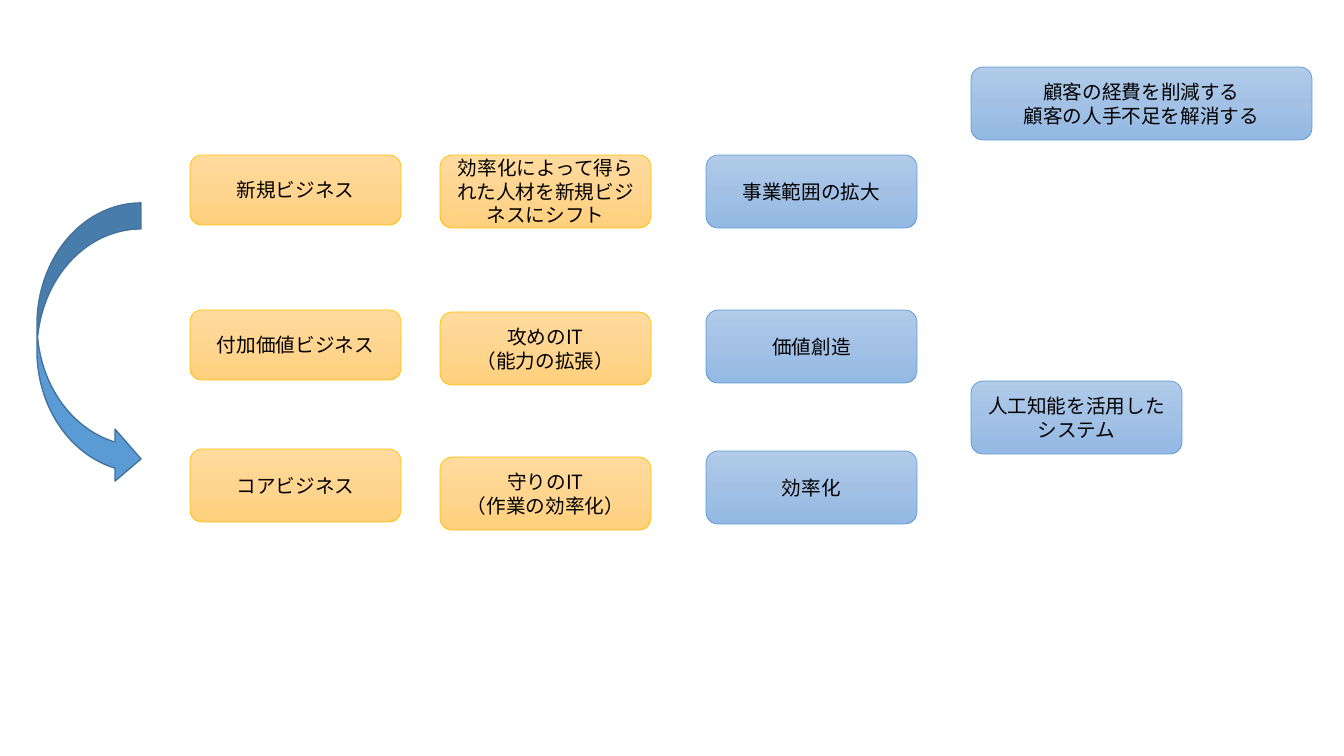
import copy

import pptx
import pptx.dml.color
import pptx.enum.shapes
import pptx.enum.text
import pptx.oxml
import pptx.oxml.ns
import pptx.util

EMU_PER_PX = 914400 / 100.8
FONT = "Noto Sans CJK JP"
COLORS = {
    "text": "000000",
    "arrow": "5B9BD5",
    "arrow line": "43739E",
    "orange line": "FFC000",
    "blue line": "5B9BD5",
}
GRADIENTS = {
    "orange": ("FFDB9E", "FFD590", "FFD07C"),
    "blue": ("B1CBE9", "A3C1E5", "93B9E4"),
}
BOX_WIDTH, BOX_HEIGHT = 211, 73

# Each column: colour, left, then (top, height, lines) for its boxes
COLUMNS = [
    ("orange", 190, [
        (155, 70, ["新規ビジネス"]),
        (310, 70, ["付加価値ビジネス"]),
        (449, BOX_HEIGHT, ["コアビジネス"]),
    ]),
    ("orange", 440, [
        (155, BOX_HEIGHT, ["効率化によって得られた人材を新規ビジネスにシフト"]),
        (312, BOX_HEIGHT, ["攻めのIT", "（能力の拡張）"]),
        (457, BOX_HEIGHT, ["守りのIT", "（作業の効率化）"]),
    ]),
    ("blue", 706, [
        (155, BOX_HEIGHT, ["事業範囲の拡大"]),
        (310, BOX_HEIGHT, ["価値創造"]),
        (451, BOX_HEIGHT, ["効率化"]),
    ]),
    ("blue", 971, [
        (381, BOX_HEIGHT, ["人工知能を活用したシステム"]),
    ]),
]


def px(length):
    return pptx.util.Emu(round(length * EMU_PER_PX))


def rgb(name):
    return pptx.dml.color.RGBColor.from_string(COLORS[name])


def add_outlined_shape(slide, kind, bounds, line_color, line_width):
    shape = slide.shapes.add_shape(kind, *map(px, bounds))
    shape.shadow.inherit = False
    shape.line.color.rgb = rgb(line_color)
    shape.line.width = pptx.util.Pt(line_width)
    return shape


def fill_downwards(shape, hex_colors):
    """Fill with evenly spaced gradient stops from top to bottom."""
    shape.fill.gradient()
    shape.fill.gradient_angle = 270
    stop_list = shape.element.spPr.find(".//" + pptx.oxml.ns.qn("a:gsLst"))
    while len(stop_list) < len(hex_colors):
        stop_list.append(copy.deepcopy(stop_list[-1]))
    for index, stop in enumerate(shape.fill.gradient_stops):
        stop.position = index / (len(hex_colors) - 1)
        stop.color.rgb = pptx.dml.color.RGBColor.from_string(hex_colors[index])


def set_font(paragraph):
    """Set the font for both Latin and East Asian characters."""
    paragraph.font.size = pptx.util.Pt(14)
    paragraph.font.color.rgb = rgb("text")
    paragraph.font.name = FONT
    properties = paragraph._p.pPr.find(pptx.oxml.ns.qn("a:defRPr"))
    properties.append(pptx.oxml.parse_xml(
        f'<a:ea {pptx.oxml.ns.nsdecls("a")} typeface="{FONT}"/>'))


def add_box(slide, color, bounds, lines):
    kind = pptx.enum.shapes.MSO_SHAPE.ROUNDED_RECTANGLE
    box = add_outlined_shape(slide, kind, bounds, f"{color} line", 0.5)
    fill_downwards(box, GRADIENTS[color])
    frame = box.text_frame
    frame.word_wrap = True
    frame.vertical_anchor = pptx.enum.text.MSO_ANCHOR.MIDDLE
    frame.text = "\n".join(lines)
    for paragraph in frame.paragraphs:
        paragraph.alignment = pptx.enum.text.PP_ALIGN.CENTER
        set_font(paragraph)


def add_curved_arrow(slide, bounds):
    kind = pptx.enum.shapes.MSO_SHAPE.CURVED_RIGHT_ARROW
    arrow = add_outlined_shape(slide, kind, bounds, "arrow line", 1)
    arrow.fill.solid()
    arrow.fill.fore_color.rgb = rgb("arrow")


def main():
    presentation = pptx.Presentation()
    presentation.slide_width = px(1344)
    presentation.slide_height = px(756)
    slide = presentation.slides.add_slide(presentation.slide_layouts[6])

    add_curved_arrow(slide, (37, 203, 104, 282))
    for color, left, boxes in COLUMNS:
        for top, height, lines in boxes:
            add_box(slide, color, (left, top, BOX_WIDTH, height), lines)
    add_box(slide, "blue", (971, 67, 341, BOX_HEIGHT),
            ["顧客の経費を削減する", "顧客の人手不足を解消する"])

    presentation.save("out.pptx")


if __name__ == "__main__":
    main()
